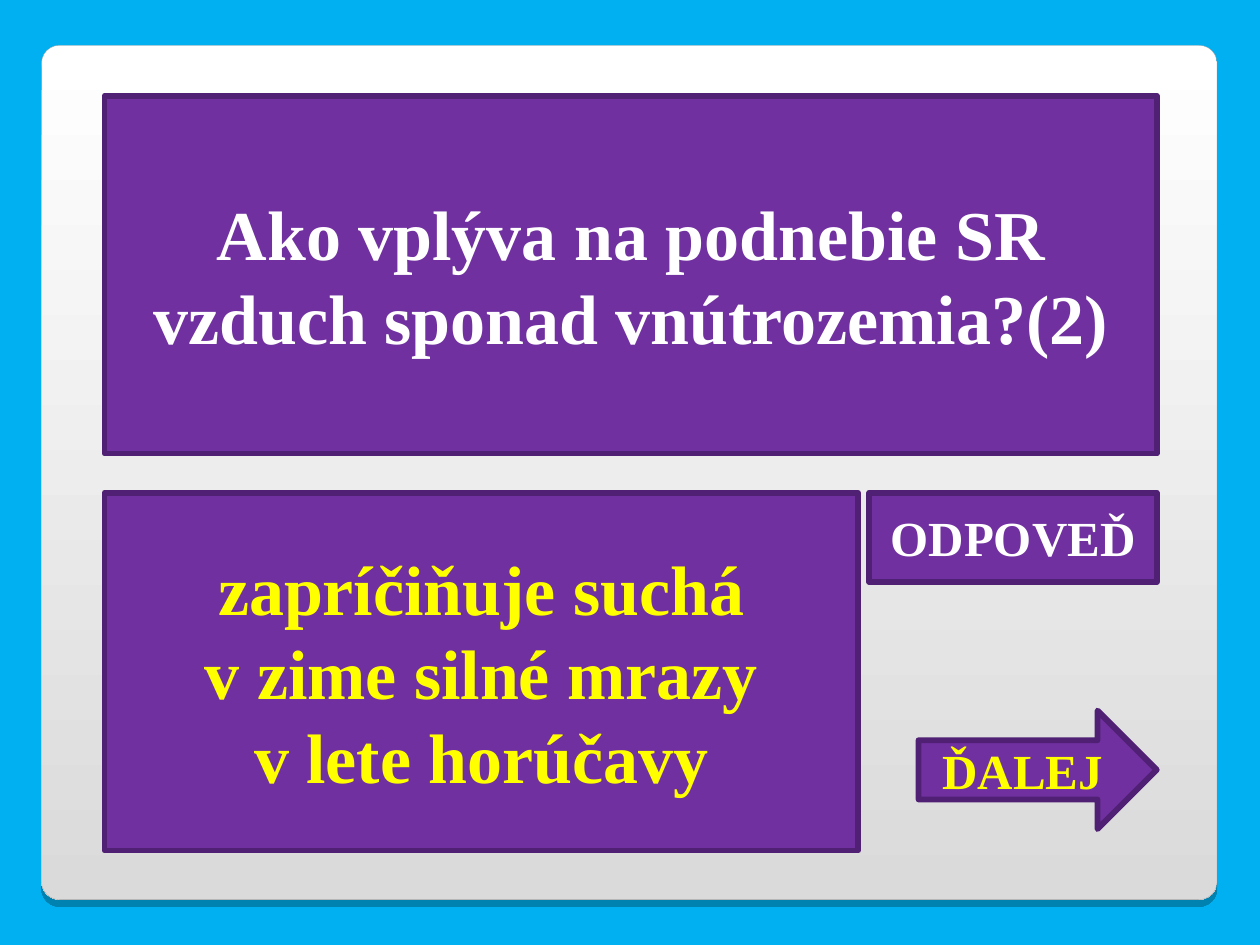
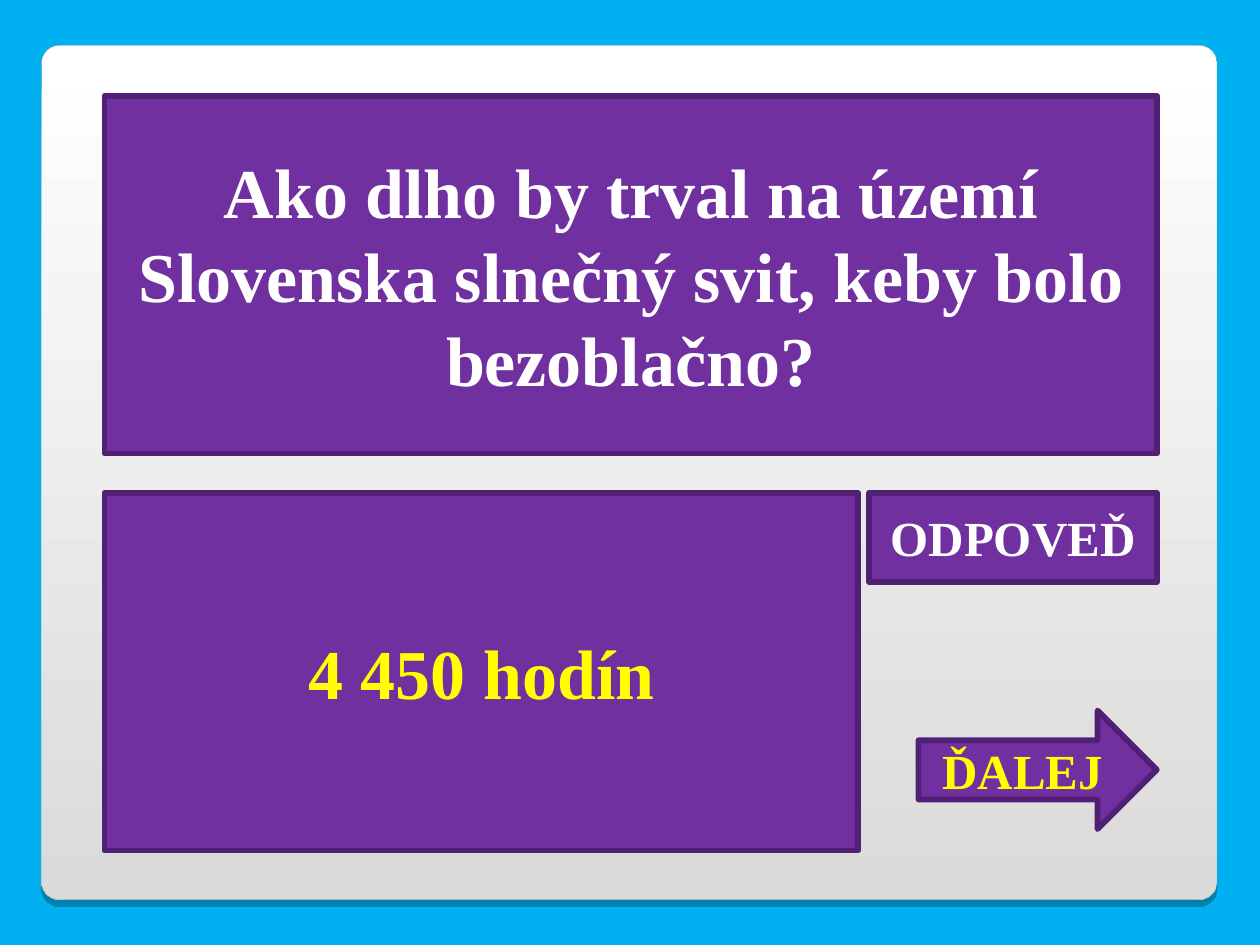
from lxml.etree import SubElement
from pptx import Presentation
from pptx.dml.color import RGBColor
from pptx.enum.shapes import MSO_SHAPE
from pptx.enum.text import MSO_ANCHOR, MSO_AUTO_SIZE, PP_ALIGN
from pptx.oxml import parse_xml
from pptx.oxml.ns import nsdecls, qn
from pptx.util import Inches, Pt

SKY = RGBColor(0x00, 0xB0, 0xF0)
PURPLE = RGBColor(0x70, 0x30, 0xA0)
DARK_PURPLE = RGBColor(0x50, 0x20, 0x74)
WHITE = RGBColor(0xFF, 0xFF, 0xFF)
SILVER = RGBColor(0xDA, 0xDA, 0xDA)
GREY = RGBColor(0xA4, 0xA3, 0xA3)
YELLOW = RGBColor(0xFF, 0xFF, 0x00)

FONT = "Times New Roman"
COLUMNS, ROWS = 100, 75
LEFT, RIGHT = 8.3, 91.8
QUESTION_TOP, ANSWER_TOP = 7.6, 39.1
CARD_HEIGHT = 28.4
LARGE, SMALL = 40, 28

QUESTIONS = [
    (
        "Ako vplýva na podnebie SR vzduch sponad vnútrozemia?(2)",
        ["zapríčiňuje suchá", "v zime silné mrazy", "v lete horúčavy"],
    ),
    (
        "Ako dlho by trval na území Slovenska slnečný svit, keby bolo bezoblačno?",
        ["4 450 hodín"],
    ),
]


class QuizDeck:
    def __init__(self):
        self.presentation = Presentation()
        self.presentation.slide_width = Inches(10)
        self.presentation.slide_height = Inches(7.5)
        self.layout = self.presentation.slide_layouts[1]
        self.slide = None
        background = self.presentation.slide_master.background.fill
        background.solid()
        background.fore_color.rgb = SKY

    def add_slide(self):
        self.slide = self.presentation.slides.add_slide(self.layout)

    def place(self, shape, left, top, width, height):
        column = self.presentation.slide_width / COLUMNS
        row = self.presentation.slide_height / ROWS
        shape.left, shape.width = round(left * column), round(width * column)
        shape.top, shape.height = round(top * row), round(height * row)

    def add_shared_panel(self):
        panel = self.slide.shapes.add_shape(MSO_SHAPE.ROUNDED_RECTANGLE, 0, 0, 0, 0)
        self.place(panel, 3.3, 3.6, 93.3, 67.8)
        panel.adjustments[0] = 0.021
        panel.fill.gradient()
        panel.fill.gradient_angle = 270
        for stop, color in zip(panel.fill.gradient_stops, (WHITE, SILVER)):
            stop.color.rgb = color
        panel.line.color.rgb = GREY
        panel.line.width = Pt(0.17)
        panel.element.spPr.append(parse_xml(
            f'<a:effectLst {nsdecls("a")}>'
            f'<a:outerShdw blurRad="0" dist="{Pt(4)}" dir="5400000" rotWithShape="0">'
            '<a:srgbClr val="000000"><a:alpha val="25000"/></a:srgbClr>'
            '</a:outerShdw></a:effectLst>'
        ))
        panel.element.nvSpPr.cNvPr.set("id", "20")
        self.layout.shapes.element.insert(2, panel.element)

    def format_card(self, shape, lines, size, color):
        shape.shadow.inherit = False
        shape.fill.solid()
        shape.fill.fore_color.rgb = PURPLE
        shape.line.color.rgb = DARK_PURPLE
        shape.line.width = Pt(3.34)
        text_frame = shape.text_frame
        text_frame.text = "\n".join(lines)
        text_frame.word_wrap = True
        text_frame.auto_size = MSO_AUTO_SIZE.NONE
        text_frame.vertical_anchor = MSO_ANCHOR.MIDDLE
        for paragraph in text_frame.paragraphs:
            properties = paragraph._p.get_or_add_pPr()
            properties.set("marL", "0")
            properties.set("indent", "0")
            SubElement(properties, qn("a:buNone"))
            paragraph.alignment = PP_ALIGN.CENTER
            paragraph.space_before = Pt(0)
            for run in paragraph.runs:
                run.font.name = FONT
                run.font.size = Pt(size)
                run.font.bold = True
                run.font.color.rgb = color

    def add_question(self, text):
        title = self.slide.shapes.title
        self.place(title, LEFT, QUESTION_TOP, RIGHT - LEFT, CARD_HEIGHT)
        self.format_card(title, [text], LARGE, WHITE)

    def add_answer(self, lines):
        body = self.slide.placeholders[1]
        self.place(body, LEFT, ANSWER_TOP, 59.8, CARD_HEIGHT)
        self.format_card(body, lines, LARGE, YELLOW)

    def add_button(self, kind, text, top, width, height, color):
        button = self.slide.shapes.add_shape(kind, 0, 0, 0, 0)
        self.place(button, RIGHT - width, top, width, height)
        self.format_card(button, [text], SMALL, color)


def main():
    deck = QuizDeck()
    for number, (question, answer) in enumerate(QUESTIONS):
        deck.add_slide()
        if number == 0:
            deck.add_shared_panel()
        deck.add_question(question)
        deck.add_answer(answer)
        deck.add_button(MSO_SHAPE.RECTANGLE, "ODPOVEĎ", ANSWER_TOP, 22.8, 7.1, WHITE)
        deck.add_button(MSO_SHAPE.RIGHT_ARROW, "ĎALEJ", 56.4, 18.9, 9.4, YELLOW)
    deck.presentation.save("out.pptx")


if __name__ == "__main__":
    main()
